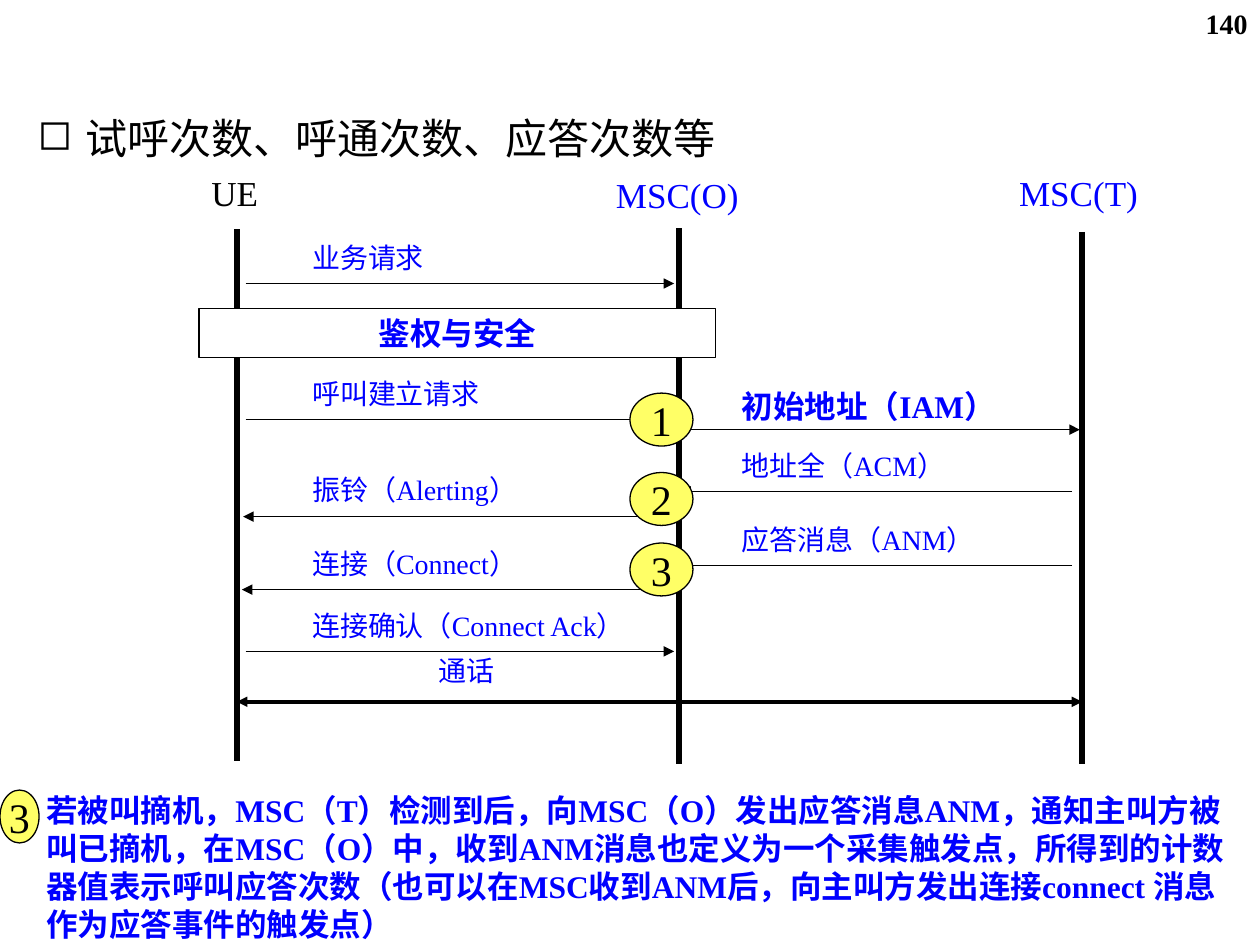
from lxml import etree
from pptx import Presentation
from pptx import util as u
from pptx.dml.color import RGBColor
from pptx.enum import shapes, text
from pptx.oxml.ns import qn

COLUMNS, ROWS = 100, 75
CELL = u.Inches(10) // COLUMNS
BLACK, BLUE, WHITE, YELLOW = "000000", "0000FF", "FFFFFF", "FFFF66"
LATIN, CHINESE = "Times New Roman", "Noto Sans CJK SC"
LEFT, CENTER, RIGHT = text.PP_ALIGN.LEFT, text.PP_ALIGN.CENTER, text.PP_ALIGN.RIGHT

# Lifelines: name, colour, column, name column, name row, first row, last row
LIFELINES = [
    ("UE", BLACK, 3.8, 0.8, 0.1, 5.2, 47.4),
    ("MSC(O)", BLUE, 38.9, 32.9, 0.3, 5.1, 47.6),
    ("MSC(T)", BLUE, 70.9, 64.9, 0.1, 5.4, 47.6),
]
# Messages: label, label column, label row, arrow row, from column, to column
NEAR, FAR = 8.8, 42.9
MESSAGES = [
    ("业务请求", NEAR, 5.6, 9.5, 4.5, 38.5),
    ("呼叫建立请求", NEAR, 16.4, 20.3, 4.5, 38.5),
    ("初始地址（IAM）", FAR, 17.2, 21.1, 39.7, 70.7),
    ("地址全（ACM）", FAR, 22.1, 26, 70.1, 39),
    ("振铃（Alerting）", NEAR, 24, 28, 38.3, 4.3),
    ("应答消息（ANM）", FAR, 28, 31.9, 70.1, 39),
    ("连接（Connect）", NEAR, 29.9, 33.8, 38.2, 4.2),
    ("连接确认（Connect Ack）", NEAR, 34.8, 38.7, 4.5, 38.5),
]
TRIGGER_ROWS = [18.2, 24.5, 30.1]
EXPLANATION = (
    "若被叫摘机，MSC（T）检测到后，向MSC（O）发出应答消息ANM，通知主叫方被叫已摘机，"
    "在MSC（O）中，收到ANM消息也定义为一个采集触发点，所得到的计数器值表示呼叫应答次数"
    "（也可以在MSC收到ANM后，向主叫方发出连接connect 消息作为应答事件的触发点）"
)


def color(value):
    return RGBColor.from_string(value)


def cells(*counts):
    return [u.Emu(round(count * CELL)) for count in counts]


def write(shape, content, size, ink, bold=False, align=LEFT, latin=LATIN):
    paragraph = shape.text_frame.paragraphs[0]
    paragraph.alignment = align
    run = paragraph.add_run()
    run.text = content
    run.font.size = u.Pt(size)
    run.font.bold = bold
    run.font.color.rgb = color(ink)
    run.font.name = latin
    east_asian = etree.SubElement(run.font._element, qn("a:ea"))
    east_asian.set("typeface", CHINESE)
    return paragraph


def add_text(slide, box, content, size, ink, **style):
    shape = slide.shapes.add_textbox(*cells(*box))
    shape.text_frame.word_wrap = True
    return write(shape, content, size, ink, **style)


def add_line(slide, start, end, width, head=False, tail=False):
    line = slide.shapes.add_connector(shapes.MSO_CONNECTOR.STRAIGHT, *cells(*start, *end))
    line.line.color.rgb = color(BLACK)
    line.line.width = u.Pt(width)
    outline = line.line._get_or_add_ln()
    for tag, wanted in (("a:headEnd", head), ("a:tailEnd", tail)):
        if wanted:
            etree.SubElement(outline, qn(tag)).set("type", "triangle")
    etree.SubElement(line._element.spPr, qn("a:effectLst"))


def add_shape(slide, kind, box, fill, content, size, ink, bold=False):
    shape = slide.shapes.add_shape(kind, *cells(*box))
    shape.shadow.inherit = False
    shape.fill.solid()
    shape.fill.fore_color.rgb = color(fill)
    shape.line.color.rgb = color(BLACK)
    shape.line.width = u.Pt(0.75)
    shape.text_frame.word_wrap = False
    shape.text_frame.vertical_anchor = text.MSO_ANCHOR.MIDDLE
    write(shape, content, size, ink, bold, CENTER)


def add_trigger(slide, box, number):
    add_shape(slide, shapes.MSO_SHAPE.OVAL, box, YELLOW, str(number), 24, BLACK)


def add_heading(slide, box):
    paragraph = add_text(slide, box, "试呼次数、呼通次数、应答次数等", 24, BLACK, latin=CHINESE)
    properties = paragraph._p.get_or_add_pPr()
    indent = u.Inches(0.38)
    properties.set("marL", str(indent))
    properties.set("indent", str(-indent))
    etree.SubElement(properties, qn("a:buChar")).set("char", "◻")


def add_sequence(slide, box):
    left, top, width, height = box

    # Lifelines and their names
    for name, ink, column, name_column, name_row, first, last in LIFELINES:
        add_line(slide, (left + column, top + first), (left + column, top + last), 3.5)
        add_text(slide, (left + name_column, top + name_row, 15, 4.3), name, 20, ink)

    # Messages
    for label, column, label_row, row, start, end in MESSAGES:
        key = "IAM" in label
        add_line(slide, (left + start, top + row), (left + end, top + row), 0.75, tail=True)
        add_text(slide, (left + column, top + label_row, 29, 3.7), label,
                 18 if key else 16, BLUE, bold=key)

    # Conversation between both ends
    ends = [(left + LIFELINES[i][2], top + 42.7) for i in (0, -1)]
    add_line(slide, *ends, 2, head=True, tail=True)
    add_text(slide, (left + 18.8, top + 38.4, 29, 3.7), "通话", 16, BLUE)

    # Security step across the first two lifelines
    add_shape(slide, shapes.MSO_SHAPE.RECTANGLE, (left + 0.8, top + 11.5, 41, 3.9),
              WHITE, "鉴权与安全", 18, BLUE, bold=True)

    # Numbered trigger points
    for number, row in enumerate(TRIGGER_ROWS, 1):
        add_trigger(slide, (left + 35, top + row, 5, 4.2), number)


def add_explanation(slide, box):
    left, top, width, height = box
    add_text(slide, (left + 2.7, top, width - 2.7, height), EXPLANATION, 18, BLUE, bold=True)
    add_trigger(slide, (left, top + 0.4, 3.1, 4.2), 3)


def main():
    presentation = Presentation()
    presentation.slide_width, presentation.slide_height = cells(COLUMNS, ROWS)
    slide = presentation.slides.add_slide(presentation.slide_layouts[6])
    add_text(slide, (76.7, 0, 23.3, 5.2), "140", 16, BLACK, bold=True, align=RIGHT)
    add_heading(slide, (2, 8.4, 98, 5))
    add_sequence(slide, (15, 13, 80, 48))
    add_explanation(slide, (0, 62.3, COLUMNS, 13))
    presentation.save("out.pptx")


if __name__ == "__main__":
    main()
